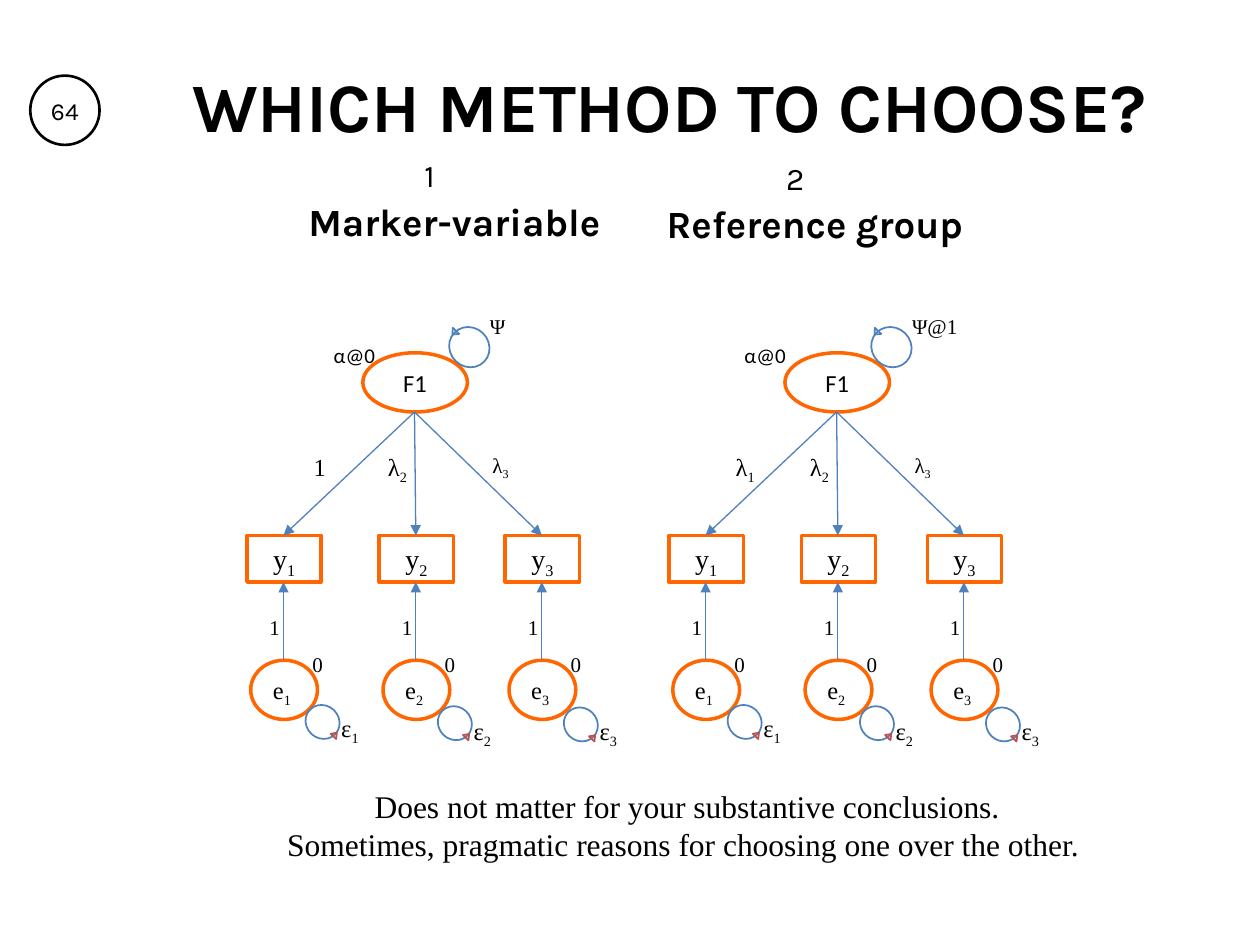
import pptx
import pptx.util
import pptx.dml.color
import pptx.enum.shapes
import pptx.enum.text
import pptx.oxml
import pptx.oxml.ns

Inches, Pt = pptx.util.Inches, pptx.util.Pt
KIND = pptx.enum.shapes.MSO_SHAPE
ALIGN = pptx.enum.text.PP_ALIGN
ANCHOR = pptx.enum.text.MSO_ANCHOR
FIT = pptx.enum.text.MSO_AUTO_SIZE

SERIF, SANS, HEAD = "Times New Roman", "Calibri", "Karla"
BLACK, ORANGE, BLUE, RED = "000000", "FF6600", "4F81BD", "C0504D"


def color(code):
    return pptx.dml.color.RGBColor.from_string(code)


def write(para, words, size, font=SERIF, bold=False, sub="", center=False):
    """Add words, then an optional subscript, as separate runs."""
    para.alignment = ALIGN.CENTER if center else ALIGN.LEFT
    for part in filter(None, (words, sub)):
        run = para.add_run()
        run.text = part
        run.font.size = Pt(size)
        run.font.name = font
        run.font.bold = bold
        run.font.color.rgb = color(BLACK)
        if part is sub:
            run._r.get_or_add_rPr().set("baseline", "-25000")


def inset(frame, left, top, right, bottom):
    frame.margin_left, frame.margin_top = Inches(left), Inches(top)
    frame.margin_right, frame.margin_bottom = Inches(right), Inches(bottom)


def label(shapes, x, y, w, h, words, size, **style):
    box = shapes.add_textbox(Inches(x), Inches(y), Inches(w), Inches(h))
    frame = box.text_frame
    frame.word_wrap = True
    frame.auto_size = FIT.SHAPE_TO_FIT_TEXT
    write(frame.paragraphs[0], words, size, **style)
    return frame


def outline(shapes, kind, x, y, w, h, code, width, turn=0):
    shape = shapes.add_shape(kind, Inches(x), Inches(y), Inches(w), Inches(h))
    shape.shadow.inherit = False
    shape.fill.background()
    shape.line.color.rgb = color(code)
    shape.line.width = Pt(width)
    shape.rotation = turn
    shape.text_frame.vertical_anchor = ANCHOR.TOP
    return shape


def arrow(shapes, x1, y1, x2, y2):
    line = shapes.add_connector(pptx.enum.shapes.MSO_CONNECTOR.STRAIGHT,
                                Inches(x1), Inches(y1), Inches(x2), Inches(y2))
    line.line.color.rgb = color(BLUE)
    line.line.width = Pt(0.75)
    tail = pptx.oxml.parse_xml(
        f'<a:tailEnd {pptx.oxml.ns.nsdecls("a")} type="triangle"/>')
    line.line._get_or_add_ln().append(tail)
    none = pptx.oxml.parse_xml(f'<a:effectLst {pptx.oxml.ns.nsdecls("a")}/>')
    line._element.spPr.append(none)


def item(shapes, x, y, num):
    """One observed variable with its error term and error variance."""
    sub = str(num + 1)
    mid = x + 0.29
    box = outline(shapes, KIND.RECTANGLE, x, y, 0.59, 0.37, ORANGE, 2)
    write(box.text_frame.paragraphs[0], "y", 16, sub=sub, center=True)

    error = outline(shapes, KIND.OVAL, x + 0.03, y + 0.99, 0.53, 0.47, ORANGE, 2)
    inset(error.text_frame, 0.1, 0.05, 0, 0.05)
    write(error.text_frame.paragraphs[0], "e", 14, sub=sub)
    arrow(shapes, mid, y + 0.99, mid, y + 0.37)
    label(shapes, x + 0.08, y + 0.58, 0.22, 0.3, "1", 12)
    label(shapes, x + 0.42, y + 0.87, 0.22, 0.3, "0", 12)

    drop = y + 0.01 * num
    outline(shapes, KIND.OVAL, x + 0.46, drop + 1.35, 0.28, 0.26, BLUE, 1, 44)
    outline(shapes, KIND.ISOSCELES_TRIANGLE, x + 0.67, drop + 1.56,
            0.06, 0.04, RED, 1, 44)
    label(shapes, x + 0.65, y + (1.38 if num else 1.36), 0.35, 0.34,
          "ε", 14, sub=sub)


def diagram(slide, x, y, first, psi, shift):
    """Factor model; first is the first loading, shift places the alpha."""
    shapes = slide.shapes.add_group_shape().shapes
    factor = outline(shapes, KIND.OVAL, x + 0.92, y + 0.36, 0.83, 0.47, ORANGE, 2)
    write(factor.text_frame.paragraphs[0], "F1", 14, SANS, center=True)

    for num, gap in enumerate((0, 1.05, 2.05)):
        item(shapes, x + gap, y + 1.81, num)
        arrow(shapes, x + 1.33, y + 0.83, x + gap + 0.29, y + 1.81)

    loads = ((0.43, 14, first), (1.02, 14, ("λ", "2")), (1.85, 12, ("λ", "3")))
    for left, size, (sign, sub) in loads:
        label(shapes, x + left, y + 1.1, 0.48, 0.34, sign, size, sub=sub)

    outline(shapes, KIND.OVAL, x + 1.6, y + 0.16, 0.33, 0.31, BLUE, 1, 224)
    outline(shapes, KIND.ISOSCELES_TRIANGLE, x + 1.61, y + 0.18,
            0.07, 0.04, BLUE, 1, 224)
    label(shapes, x + 1.83, y, 0.63, 0.3, psi, 12)
    label(shapes, x + shift, y + 0.23, 0.55, 0.3, "α@0", 12, font=SANS)


def heading(slide, x, y, num, left, words):
    """Method name in the given box, with its number above at left."""
    frame = label(slide.shapes, x, y, 3.11, 0.37, words, 22,
                  font=HEAD, bold=True, center=True)
    inset(frame, 0, 0, 0, 0)
    label(slide.shapes, left, y - 0.38, 0.56, 0.4, num, 18, font=HEAD)


def banner(slide):
    title = slide.shapes.title
    title.left, title.top = Inches(1.32), Inches(0.33)
    title.width, title.height = Inches(7.99), Inches(1)
    title.text_frame.vertical_anchor = ANCHOR.MIDDLE
    write(title.text_frame.paragraphs[0], "WHICH METHOD TO CHOOSE?", 39.6,
          HEAD, bold=True, center=True)

    badge = outline(slide.shapes, KIND.OVAL, 0.24, 0.6, 0.55, 0.55, BLACK, 1.5)
    frame = badge.text_frame
    frame.vertical_anchor = ANCHOR.MIDDLE
    inset(frame, 0.01, 0.01, 0.01, 0.01)
    write(frame.paragraphs[0], "64", 14, HEAD, center=True)


def closing(slide, x, y, w, h):
    frame = label(slide.shapes, x, y, w, h,
                  "Does not matter for your substantive conclusions.", 18,
                  center=True)
    write(frame.add_paragraph(),
          "Sometimes, pragmatic reasons for choosing one over the other. ",
          18, center=True)


def main():
    deck = pptx.Presentation()
    deck.slide_width, deck.slide_height = Inches(10), Inches(7.5)
    slide = deck.slides.add_slide(deck.slide_layouts[5])
    banner(slide)
    diagram(slide, 1.96, 2.44, ("1", ""), "Ψ", 0.59)
    diagram(slide, 5.31, 2.44, ("λ", "1"), "Ψ@1", 0.5)
    heading(slide, 2.05, 1.57, "1", 3.27, "Marker-variable")
    heading(slide, 4.95, 1.59, "2", 6.14, "Reference group ")
    closing(slide, 1.08, 6.2, 8.75, 0.71)
    deck.save("out.pptx")


if __name__ == "__main__":
    main()
